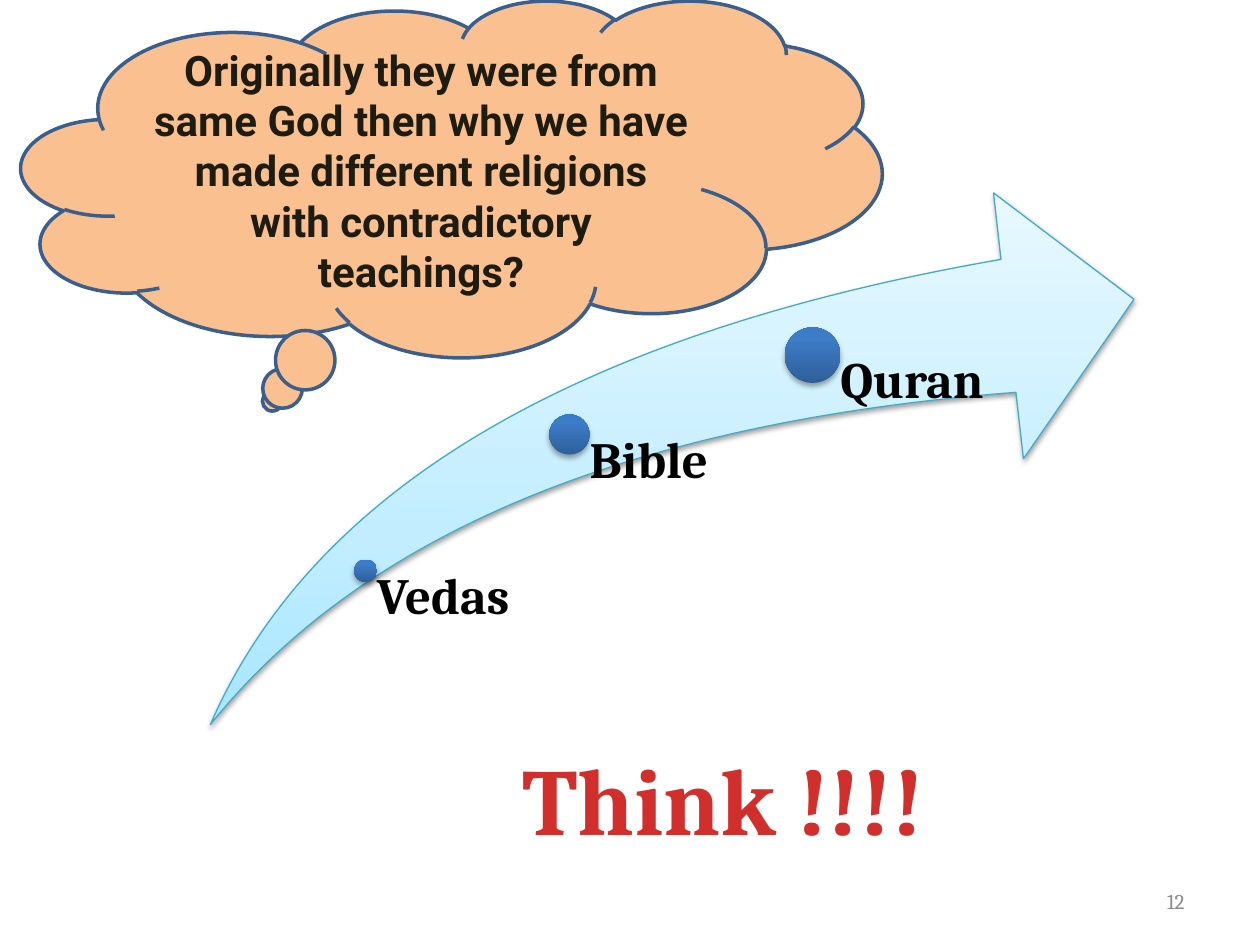
import pptx
import pptx.dml.color
import pptx.enum.shapes
import pptx.enum.text
import pptx.oxml.ns
import pptx.util
from lxml import etree

Cm, Pt = pptx.util.Cm, pptx.util.Pt
qn = pptx.oxml.ns.qn
SHAPE = pptx.enum.shapes.MSO_SHAPE
ALIGN = pptx.enum.text.PP_ALIGN
ANCHOR = pptx.enum.text.MSO_ANCHOR

# Content: scripture, dot centre x and y, dot diameter, label width (cm)
SCRIPTURES = [
    ("Vedas", 7.37, 11.51, 0.46, 3.99),
    ("Bible", 11.48, 8.76, 0.81, 4.11),
    ("Quran", 16.38, 7.16, 1.12, 4.11),
]
QUESTION = ("Originally they were from same God then why we have made "
            "different religions with contradictory teachings?")
CALL = "Think !!!!"
PAGE_NUMBER = "12"

# Places (left, top, width, height in cm) and gradients (percent, colour)
ARROW = (4.24, 3.89, 18.62, 10.72)
CLOUD = (0.43, 0, 17.35, 7.19)
CALL_PLACE = (9.7, 14.81, 9.75, 2.57)
NUMBER_PLACE = (18.21, 17.65, 5.92, 1.02)
ARROW_STOPS = [(0, "A7E6FF"), (35, "C1EDFF"), (100, "E7F8FF")]
DOT_STOPS = [(0, "2F5F99"), (80, "3D7CC7"), (100, "3A7CCB")]
CALL_STOPS = [(0, "FC7C7A"), (75, "D02F2C"), (100, "C70500")]


def colour(value):
    return pptx.dml.color.RGBColor.from_string(value)


def set_gradient(fill, element, stops, angle):
    fill.gradient()
    fill.gradient_angle = angle
    stop_list = next(element.iter(qn("a:gsLst")))
    for stop in list(stop_list):
        stop_list.remove(stop)
    for percent, value in stops:
        stop = etree.SubElement(stop_list, qn("a:gs"), pos=str(percent * 1000))
        etree.SubElement(stop, qn("a:srgbClr"), val=value)


def add_shape(kind, place, line=None, width=0):
    shape = page.shapes.add_shape(kind, *map(Cm, place))
    if line:
        shape.line.color.rgb = colour(line)
        shape.line.width = Pt(width)
    else:
        shape.line.fill.background()
    shape.shadow.inherit = False
    return shape


def add_shadow(shape, opacity, distance):
    effects = shape._element.spPr.find(qn("a:effectLst"))
    shadow = etree.SubElement(
        effects, qn("a:outerShdw"), blurRad=str(Pt(3.1)), dist=str(Pt(distance)),
        dir="5400000", rotWithShape="0")
    black = etree.SubElement(shadow, qn("a:srgbClr"), val="000000")
    etree.SubElement(black, qn("a:alpha"), val=str(opacity * 1000))


def write(box, text, size, font, value=None, bold=True, align=ALIGN.LEFT):
    para = box.text_frame.paragraphs[0]
    para.alignment = align
    span = para.add_run()
    span.text = text
    span.font.size, span.font.name, span.font.bold = Pt(size), font, bold
    if value:
        span.font.color.rgb = colour(value)
    return para, span


def add_box(place):
    box = page.shapes.add_textbox(*map(Cm, place))
    box.text_frame.word_wrap = True
    return box


deck = pptx.Presentation()
deck.slide_width, deck.slide_height = Cm(25.4), Cm(19.05)
page = deck.slides.add_slide(deck.slide_layouts[6])

# Rising arrow
arrow = add_shape(SHAPE.SWOOSH_ARROW, ARROW, "46AAC5", 0.75)
arrow.adjustments[0] = arrow.adjustments[1] = 0.25
set_gradient(arrow.fill, arrow._element, ARROW_STOPS, 90)
add_shadow(arrow, 38, 1.6)

# Dots; each label starts at its dot's centre and reaches the arrow's bottom
arrow_bottom = ARROW[1] + ARROW[3]
for name, x, y, size, width in SCRIPTURES:
    radius = size / 2
    dot = add_shape(SHAPE.OVAL, (x - radius, y - radius, size, size))
    set_gradient(dot.fill, dot._element, DOT_STOPS, 90)
    add_shadow(dot, 35, 1.8)
    label = add_box((x, y, width, arrow_bottom - y))
    frame = label.text_frame
    frame.margin_left = Cm(radius)
    frame.margin_top = frame.margin_right = frame.margin_bottom = 0
    para, span = write(label, name, 29, "Cambria", "000000")
    para.line_spacing = 0.9

# Thought cloud
cloud = add_shape(SHAPE.CLOUD_CALLOUT, CLOUD, "3A5F8C", 2)
cloud.fill.solid()
cloud.fill.fore_color.rgb = colour("FAC090")
cloud.text_frame.word_wrap = True
cloud.text_frame.vertical_anchor = ANCHOR.MIDDLE
write(cloud, QUESTION, 24, "Roboto", "1E1C11", align=ALIGN.CENTER)

# Closing call
call = add_box(CALL_PLACE)
call.text_frame.word_wrap = False
call.text_frame.auto_size = pptx.enum.text.MSO_AUTO_SIZE.SHAPE_TO_FIT_TEXT
para, span = write(call, CALL, 54, "Cambria", align=ALIGN.CENTER)
set_gradient(span.font.fill, span._r, CALL_STOPS, 270)

# Page number
number = add_box(NUMBER_PLACE)
number.text_frame.vertical_anchor = ANCHOR.MIDDLE
write(number, PAGE_NUMBER, 12, "Cambria", "8C8C8C", False, ALIGN.RIGHT)

deck.save("out.pptx")
